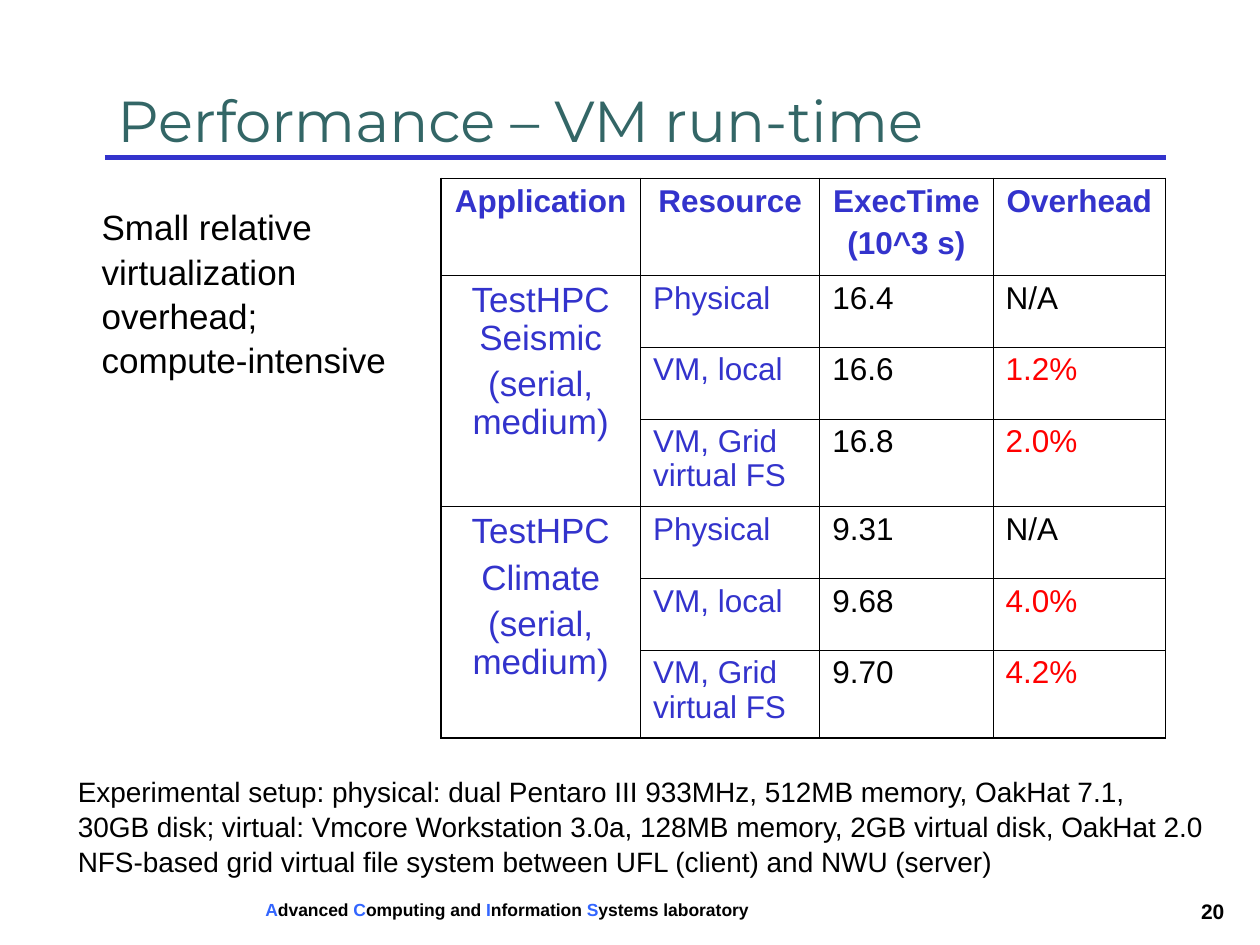
from dataclasses import dataclass

from lxml import etree
from pptx import Presentation
from pptx.dml.color import RGBColor
from pptx.enum.shapes import MSO_CONNECTOR
from pptx.enum.text import MSO_ANCHOR, PP_ALIGN
from pptx.oxml.ns import qn
from pptx.util import Pt

LEFT, CENTER = PP_ALIGN.LEFT, PP_ALIGN.CENTER
TOP, BOTTOM = MSO_ANCHOR.TOP, MSO_ANCHOR.BOTTOM
STRAIGHT = MSO_CONNECTOR.STRAIGHT

BLACK = RGBColor(0x00, 0x00, 0x00)
INDIGO = RGBColor(0x33, 0x33, 0xCC)
TEAL = RGBColor(0x33, 0x66, 0x66)
RED = RGBColor(0xFF, 0x00, 0x00)
INITIAL_BLUE = RGBColor(0x33, 0x66, 0xFF)

COLUMN_WIDTHS = (114, 102.5, 99, 98.5)
HEADER_HEIGHT = 55.5
RUN_HEIGHTS = (41, 41, 50.2)
INNER_BORDER, OUTER_BORDER = 0.45, 1.08


@dataclass(frozen=True)
class Style:
    size: float
    color: RGBColor = BLACK
    bold: bool = False
    align: PP_ALIGN = LEFT
    font: str = "Arial"
    line_spacing: float = 1.0
    space_before: float = 0


@dataclass(frozen=True)
class Note:
    left: float
    top: float
    width: float
    height: float
    lines: tuple[str, ...]
    style: Style
    anchor: MSO_ANCHOR = TOP


@dataclass(frozen=True)
class Benchmark:
    name: tuple[str, ...]
    exec_times: tuple[str, ...]
    overheads: tuple[str, ...]


HEADER = Style(18, INDIGO, True, CENTER, line_spacing=0.97, space_before=4.5)
APPLICATION = Style(20, INDIGO, align=CENTER, line_spacing=0.97, space_before=5)
RESOURCE = Style(18, INDIGO, line_spacing=0.97, space_before=4.5)
VALUE = Style(18, line_spacing=0.97, space_before=4.5)
COST = Style(18, RED, line_spacing=0.97, space_before=4.5)
FOOTER = Style(10, bold=True)

HEADINGS = (("Application",), ("Resource",), ("ExecTime", "(10^3 s)"), ("Overhead",))
RESOURCES = ("Physical", "VM, local", "VM, Grid virtual FS")
BENCHMARKS = (
    Benchmark(("TestHPC Seismic", "(serial, medium)"),
              ("16.4", "16.6", "16.8"), ("N/A", "1.2%", "2.0%")),
    Benchmark(("TestHPC", "Climate", "(serial, medium)"),
              ("9.31", "9.68", "9.70"), ("N/A", "4.0%", "4.2%")),
)
LABORATORY = ("Advanced ", "Computing and ", "Information ", "Systems laboratory")

TITLE = Note(60, 42, 606, 49.5, ("Performance – VM run-time",),
             Style(33, TEAL, font="Montserrat"), BOTTOM)
PAGE_NUMBER = Note(672, 510, 42, 21.6, ("20",), Style(12, bold=True, align=CENTER))
SETUP = Note(37.4, 438, 664, 67.7, (
    "Experimental setup: physical: dual Pentaro III 933MHz, 512MB memory, OakHat 7.1,",
    "30GB disk; virtual: Vmcore Workstation 3.0a, 128MB memory, 2GB virtual disk, OakHat 2.0",
    "NFS-based grid virtual file system between UFL (client) and NWU (server)",
), Style(16, line_spacing=1.05))
FINDING = Note(51, 113, 180, 103.7, (
    "Small relative", "virtualization", "overhead;", "compute-intensive",
), Style(20, line_spacing=1.05))


def apply_style(paragraph, style: Style) -> None:
    paragraph.alignment = style.align
    paragraph.line_spacing = style.line_spacing
    paragraph.space_before = Pt(style.space_before)
    font = paragraph.font
    font.name, font.size, font.bold = style.font, Pt(style.size), style.bold
    font.color.rgb = style.color


def write_lines(frame, lines: tuple[str, ...], style: Style) -> None:
    for index, line in enumerate(lines):
        paragraph = frame.add_paragraph() if index else frame.paragraphs[0]
        paragraph.text = line
        apply_style(paragraph, style)


def add_note(slide, note: Note):
    box = slide.shapes.add_textbox(
        Pt(note.left), Pt(note.top), Pt(note.width), Pt(note.height))
    frame = box.text_frame
    frame.word_wrap = True
    frame.vertical_anchor = note.anchor
    write_lines(frame, note.lines, note.style)
    return frame


def add_title_rule(slide) -> None:
    rule = slide.shapes.add_connector(STRAIGHT, Pt(60), Pt(90), Pt(666), Pt(90))
    rule.line.color.rgb = INDIGO
    rule.line.width = Pt(3)
    etree.SubElement(rule._element.spPr, qn("a:effectLst"))


def add_laboratory(slide) -> None:
    """Footer line in which each word group starts with a blue initial."""
    frame = add_note(slide, Note(144.5, 510, 300, 19.4, ("",), FOOTER))
    paragraph = frame.paragraphs[0]
    for words in LABORATORY:
        initial = paragraph.add_run()
        initial.text = words[0]
        initial.font.color.rgb = INITIAL_BLUE
        paragraph.add_run().text = words[1:]


def set_borders(cell, widths: dict[str, float]) -> None:
    properties = cell._tc.get_or_add_tcPr()
    for side, width in widths.items():
        border = etree.SubElement(properties, qn(f"a:ln{side}"), w=str(Pt(width)))
        fill = etree.SubElement(border, qn("a:solidFill"))
        etree.SubElement(fill, qn("a:srgbClr"), val=str(BLACK))


def add_results(slide) -> None:
    row_heights = (HEADER_HEIGHT, *RUN_HEIGHTS * len(BENCHMARKS))
    rows, columns = len(row_heights), len(COLUMN_WIDTHS)
    table = slide.shapes.add_table(
        rows, columns, Pt(252), Pt(102),
        Pt(sum(COLUMN_WIDTHS)), Pt(sum(row_heights))).table
    table.first_row = table.horz_banding = False
    for column, width in zip(table.columns, COLUMN_WIDTHS):
        column.width = Pt(width)
    for row, height in zip(table.rows, row_heights):
        row.height = Pt(height)

    for column, heading in enumerate(HEADINGS):
        write_lines(table.cell(0, column).text_frame, heading, HEADER)
    for group, benchmark in enumerate(BENCHMARKS):
        first = 1 + group * len(RESOURCES)
        application = table.cell(first, 0)
        application.merge(table.cell(first + len(RESOURCES) - 1, 0))
        write_lines(application.text_frame, benchmark.name, APPLICATION)
        runs = zip(RESOURCES, benchmark.exec_times, benchmark.overheads)
        for row, (resource, exec_time, overhead) in enumerate(runs, first):
            overhead_style = VALUE if overhead == "N/A" else COST
            entries = ((resource, RESOURCE), (exec_time, VALUE), (overhead, overhead_style))
            for column, (entry, style) in enumerate(entries, 1):
                write_lines(table.cell(row, column).text_frame, (entry,), style)

    for row in range(rows):
        for column in range(columns):
            cell = table.cell(row, column)
            outer = {
                "L": column == 0,
                "R": column == columns - 1,
                "T": row == 0,
                "B": row + cell.span_height == rows,
            }
            set_borders(cell, {side: OUTER_BORDER if edge else INNER_BORDER
                               for side, edge in outer.items()})
            cell.fill.background()


def main() -> None:
    presentation = Presentation()
    presentation.slide_width, presentation.slide_height = Pt(720), Pt(540)
    slide = presentation.slides.add_slide(presentation.slide_layouts[6])
    add_title_rule(slide)
    add_laboratory(slide)
    add_note(slide, PAGE_NUMBER)
    add_note(slide, TITLE)
    add_results(slide)
    add_note(slide, SETUP)
    add_note(slide, FINDING)
    presentation.save("out.pptx")


if __name__ == "__main__":
    main()
